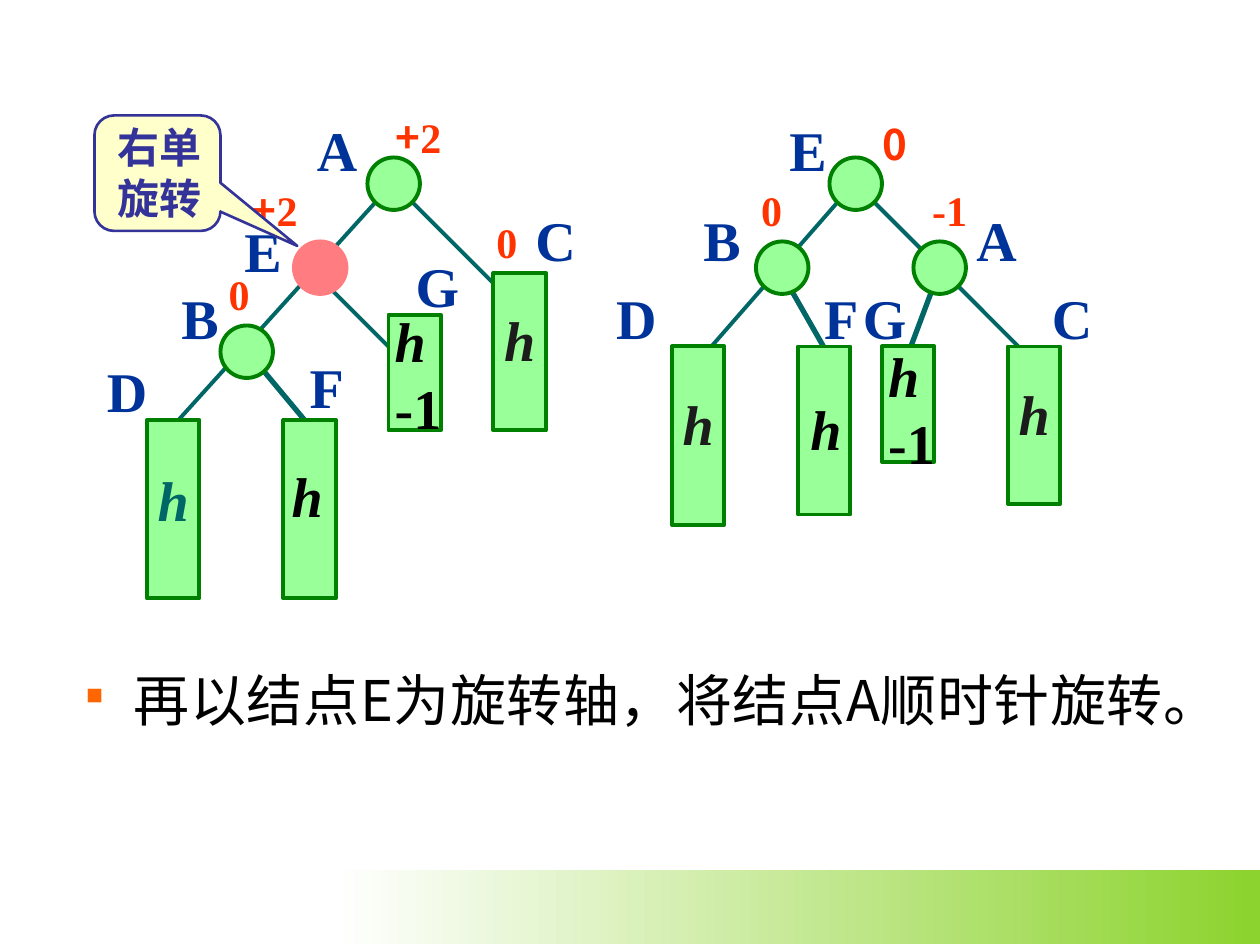
from lxml.etree import SubElement
from pptx import Presentation
from pptx.dml.color import RGBColor
from pptx.enum.shapes import MSO_CONNECTOR as Connector, MSO_SHAPE as Preset
from pptx.enum.text import MSO_ANCHOR as Anchor, PP_ALIGN as Align
from pptx.oxml.ns import qn
from pptx.util import Inches, Pt

COLUMNS_PER_INCH = 12
NODE_SIZE = 5
SERIF, SANS = "Times New Roman", "Noto Sans CJK SC"
GREEN, DARK_GREEN, TEAL, PINK = "99FF99", "008000", "006666", "FF7C80"
RED, BLUE, INDIGO, BLACK, CHARCOAL = "FF3300", "003399", "333399", "000000", "1C1C1C"
LABEL_WIDTHS = {"E": 5.9, "B": 5.9, "F": 5.6, "G": 6.5}

EDGES = [
    (24, 34, 29, 40, 3), (39, 19, 48, 28, 2.25), (36, 19, 17, 40, 2.25), (31, 27, 37, 33, 2.25),
    (89, 27, 86, 35, 3), (83, 19, 97, 33, 2.25), (80, 19, 66, 35, 2.25), (75, 27, 79, 34, 3),
]
SUBTREES = [
    (47, 26, 15, CHARCOAL, 0.5), (14, 40, 17, TEAL, 0.6), (27, 40, 17, None, None),
    (37, 30, 11, None, None), (96, 33, 15, CHARCOAL, 0.5), (64, 33, 17, CHARCOAL, 0.5),
    (76, 33, 16, None, None), (84, 33, 11, None, None),
]
NODES = [(35, 15), (21, 31), (79, 15), (72, 23), (87, 23)]
PIVOT = (28, 23)
LABELS = [
    ("A", 29, 10.4), ("C", 49.8, 19), ("E", 22.1, 20), ("D", 9, 33.4),
    ("B", 16.1, 26.4), ("F", 28.3, 33), ("G", 38.4, 23.4),
    ("E", 74, 10.4), ("B", 65.8, 19), ("A", 91.8, 19), ("D", 57.5, 26.4),
    ("C", 99, 26.4), ("F", 77.3, 26.4), ("G", 81, 26.4),
]
PLUS_TWO = [("+", {"font": SANS}), ("2", {})]
BALANCES = [
    ([("0", {})], 46.1, 20, 4.3), ([("0", {})], 20.6, 25, 4.3),
    (PLUS_TWO, 36.5, 10, 8), (PLUS_TWO, 22.8, 17, 8),
    ([("0", {"font": SANS})], 82.9, 10.7, 4.7), ([("0", {})], 71.3, 17, 4.3),
    ([("-1", {})], 87.6, 17, 5.8),
]


def cells(*counts):
    return [Inches(count / COLUMNS_PER_INCH) for count in counts]


def color(value):
    return RGBColor.from_string(value)


def format_run(run, size, fill, font=SERIF, bold=True, italic=False):
    run.font.size, run.font.bold, run.font.italic = Pt(size), bold, italic
    run.font.color.rgb = color(fill)
    run.font.name = font
    SubElement(run.font._element, qn("a:ea"), typeface=SANS)


def write(shape, *lines, size=32, fill=BLACK, spacing=None, align=Align.LEFT, wrap=False, **style):
    frame = shape.text_frame
    frame.word_wrap = wrap
    for index, line in enumerate(lines):
        paragraph = frame.add_paragraph() if index else frame.paragraphs[0]
        paragraph.alignment = align
        paragraph.line_spacing = spacing or Pt(size * 1.2)
        for text, changes in line:
            run = paragraph.add_run()
            run.text = text
            format_run(run, size, fill, **{**style, **changes})
    return frame


def add_text(slide, box, *lines, **style):
    return write(slide.shapes.add_textbox(*cells(*box)), *lines, **style)


def add_preset(slide, preset, box, fill, line, width=2.25):
    shape = slide.shapes.add_shape(preset, *cells(*box))
    shape.shadow.inherit = False
    shape.fill.solid()
    shape.fill.fore_color.rgb = color(fill)
    shape.line.color.rgb = color(line)
    shape.line.width = Pt(width)
    return shape


def add_edge(slide, start_x, start_y, end_x, end_y, width):
    edge = slide.shapes.add_connector(Connector.STRAIGHT, *cells(start_x, start_y, end_x, end_y))
    edge.line.color.rgb = color(TEAL)
    edge.line.width = Pt(width)
    SubElement(edge._element.spPr, qn("a:effectLst"))


def add_node(slide, left, top, fill=GREEN, line=DARK_GREEN):
    add_preset(slide, Preset.OVAL, (left, top, NODE_SIZE, NODE_SIZE), fill, line)


def add_subtree(slide, left, top, height, ink, spacing):
    shape = add_preset(slide, Preset.RECTANGLE, (left, top, NODE_SIZE, height), GREEN, DARK_GREEN)
    if ink:
        shape.text_frame.vertical_anchor = Anchor.MIDDLE
        write(shape, [("h", {})], fill=ink, spacing=spacing, align=Align.CENTER, italic=True)


def add_footer_band(slide):
    band = slide.shapes.add_shape(Preset.RECTANGLE, *cells(32, 82.9, 88, 7))
    band.shadow.inherit = False
    band.line.fill.background()
    band.fill.gradient()
    band.fill.gradient_angle = 0
    for stop, position, value in zip(band.fill.gradient_stops, (0, 1), ("FFFFFF", "8CD32D")):
        stop.position = position
        stop.color.rgb = color(value)


def add_callout(slide):
    callout = add_preset(slide, Preset.ROUNDED_RECTANGULAR_CALLOUT, (9, 11, 12, 11), "FFFFCC", INDIGO, 1.5)
    for index, value in enumerate((1.11, 0.63, 0.17)):
        callout.adjustments[index] = value
    add_text(slide, (10, 11, 12, 10.8), [("右单", {})], [("旋转", {})], size=24, fill=INDIGO, wrap=True)


def add_bullet(paragraph, character, fill, percent, indent):
    properties = paragraph._p.get_or_add_pPr()
    properties.set("marL", str(Inches(indent)))
    properties.set("indent", str(-Inches(indent)))
    SubElement(SubElement(properties, qn("a:buClr")), qn("a:srgbClr"), val=fill)
    SubElement(properties, qn("a:buSzPct"), val=str(percent * 1000))
    SubElement(properties, qn("a:buChar"), char=character)


def add_explanation(slide):
    frame = add_text(slide, (7, 62.8, 105, 19), [("再以结点E为旋转轴，将结点A顺时针旋转。", {})],
                     align=Align.JUSTIFY, wrap=True, font=SANS, bold=False)
    add_bullet(frame.paragraphs[0], "■", "FF6600", 42, 0.38)


def main():
    presentation = Presentation()
    presentation.slide_width, presentation.slide_height = Inches(10), Inches(7.5)
    slide = presentation.slides.add_slide(presentation.slide_layouts[6])
    add_footer_band(slide)
    for edge in EDGES:
        add_edge(slide, *edge)
    for subtree in SUBTREES:
        add_subtree(slide, *subtree)
    for node in NODES:
        add_node(slide, *node)
    add_node(slide, *PIVOT, fill=PINK, line=PINK)
    for runs, left, top, width in BALANCES:
        add_text(slide, (left, top, width, 6), runs, size=24, fill=RED, wrap=True)
    for letter, left, top in LABELS:
        add_text(slide, (left, top, LABEL_WIDTHS.get(letter, 6.2), 7.7), [(letter, {})], fill=BLUE)
    for left, top in ((26.6, 43.4), (76, 37)):
        add_text(slide, (left, top, 5.4, 7.7), [("h", {})], italic=True)
    for left, top in ((36.4, 28.6), (83.4, 31.9)):
        add_text(slide, (left, top, 8, 14), [("h", {"italic": True})], [("-1", {})], wrap=True)
    add_callout(slide)
    add_explanation(slide)
    presentation.save("out.pptx")


if __name__ == "__main__":
    main()
